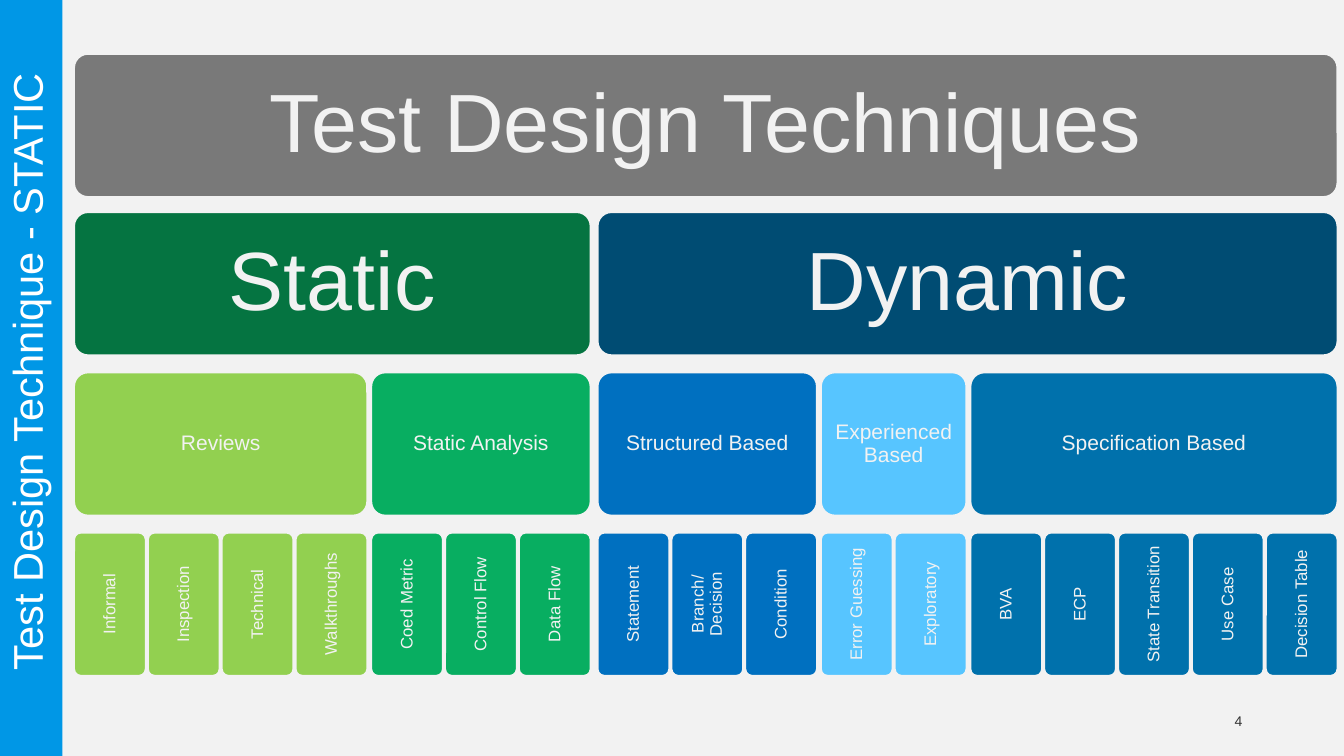
import pptx
import pptx.util
import pptx.dml.color
import pptx.enum.shapes
import pptx.enum.text

Inches, Pt = pptx.util.Inches, pptx.util.Pt
RGB = pptx.dml.color.RGBColor
SHAPE = pptx.enum.shapes.MSO_SHAPE
ALIGN = pptx.enum.text.PP_ALIGN
ANCHOR = pptx.enum.text.MSO_ANCHOR

PALE = RGB(0xF2, 0xF2, 0xF2)
WHITE = RGB(0xFF, 0xFF, 0xFF)
DARK = RGB(0x33, 0x33, 0x33)
SKY = RGB(0x00, 0x97, 0xE6)
GRAY = RGB(0x79, 0x79, 0x79)
GREEN = RGB(0x05, 0x74, 0x41)
LIME = RGB(0x92, 0xD0, 0x50)
MINT = RGB(0x08, 0xAE, 0x61)
NAVY = RGB(0x00, 0x4C, 0x73)
BLUE = RGB(0x00, 0x70, 0xC0)
LIGHT = RGB(0x57, 0xC5, 0xFF)
TEAL = RGB(0x00, 0x71, 0xAC)

TITLE = "Test Design Technique - STATIC"
HEAD = "Test Design Techniques"
BRANCHES = [
    ("Static", GREEN, [
        ("Reviews", LIME,
         ["Informal", "Inspection", "Technical", "Walkthroughs"]),
        ("Static Analysis", MINT,
         ["Coed Metric", "Control Flow", "Data Flow"]),
    ]),
    ("Dynamic", NAVY, [
        ("Structured Based", BLUE,
         ["Statement", "Branch/Decision", "Condition"]),
        ("Experienced Based", LIGHT, ["Error Guessing", "Exploratory"]),
        ("Specification Based", TEAL,
         ["BVA", "ECP", "State Transition", "Use Case", "Decision Table"]),
    ]),
]

# Each level: top, text size, inset
LEVELS = [(0.53, 59, 0.25), (2.1, 59, 0.25), (3.69, 15, 0.06), (5.28, 12, 0.05)]
LEFT, WIDTH, HIGH = 0.73, 12.54, 1.43
LEAF_W, GROUP_GAP, BRANCH_GAP = 0.72, 0.03, 0.06

groups = [group for branch in BRANCHES for group in branch[2]]
leaves = sum(len(names) for _, _, names in groups)
branch_gaps = len(BRANCHES) - 1
group_gaps = len(groups) - len(BRANCHES)
spare = (WIDTH - leaves * LEAF_W - branch_gaps * BRANCH_GAP
         - group_gaps * GROUP_GAP)
LEAF_GAP = spare / (leaves - len(groups))


def write(frame, text, size, color, align, spacing=None):
    frame.word_wrap = True
    par = frame.paragraphs[0]
    par.alignment = align
    if spacing:
        par.line_spacing = spacing
    run = par.add_run()
    run.text = text
    run.font.name = "Arial"
    run.font.size = Pt(size)
    run.font.color.rgb = color


def add_card(level, left, width, text, color):
    top, size, inset = LEVELS[level]
    card = slide.shapes.add_shape(SHAPE.ROUNDED_RECTANGLE, Inches(left),
                                  Inches(top), Inches(width), Inches(HIGH))
    card.adjustments[0] = 0.1
    card.shadow.inherit = False
    card.fill.solid()
    card.fill.fore_color.rgb = color
    card.line.color.rgb = PALE
    card.line.width = Pt(2)
    frame = card.text_frame
    frame.margin_left = frame.margin_right = Inches(inset)
    frame.margin_top = frame.margin_bottom = Inches(inset)
    frame.vertical_anchor = ANCHOR.MIDDLE
    if level == 3:
        frame._txBody.bodyPr.set("vert", "vert270")
    write(frame, text, size, PALE, ALIGN.CENTER, 0.9)


def span(parts, gap):
    return sum(parts) + gap * (len(parts) - 1)


def group_width(group):
    return span([LEAF_W] * len(group[2]), LEAF_GAP)


deck = pptx.Presentation()
deck.slide_width, deck.slide_height = Inches(13.33), Inches(7.5)
slide = deck.slides.add_slide(deck.slide_layouts[5])
slide.background.fill.solid()
slide.background.fill.fore_color.rgb = PALE

bar = slide.shapes.add_shape(SHAPE.RECTANGLE, 0, 0, Inches(0.62), Inches(7.5))
bar.shadow.inherit = False
bar.fill.solid()
bar.fill.fore_color.rgb = SKY
bar.line.fill.background()

title = slide.shapes.title
title.left, title.top = Inches(-3.06), Inches(3.44)
title.width, title.height = Inches(6.74), Inches(0.5)
title.rotation = 270
title.text_frame.auto_size = pptx.enum.text.MSO_AUTO_SIZE.NONE
title.text_frame.vertical_anchor = ANCHOR.BOTTOM
write(title.text_frame, TITLE, 29.7, WHITE, ALIGN.CENTER, 0.85)
bar._element.addnext(title._element)  # title sits above the bar

number = slide.shapes.add_textbox(Inches(9.42), Inches(6.95),
                                  Inches(3), Inches(0.4))
number.text_frame.vertical_anchor = ANCHOR.MIDDLE
write(number.text_frame, "4", 10, DARK, ALIGN.RIGHT)

add_card(0, LEFT, WIDTH, HEAD, GRAY)
x = LEFT
for branch, shade, kinds in BRANCHES:
    wide = span([group_width(kind) for kind in kinds], GROUP_GAP)
    add_card(1, x, wide, branch, shade)
    spot = x
    for kind in kinds:
        name, color, items = kind
        add_card(2, spot, group_width(kind), name, color)
        for i, item in enumerate(items):
            add_card(3, spot + i * (LEAF_W + LEAF_GAP), LEAF_W, item, color)
        spot += group_width(kind) + GROUP_GAP
    x += wide + BRANCH_GAP

deck.save("out.pptx")
